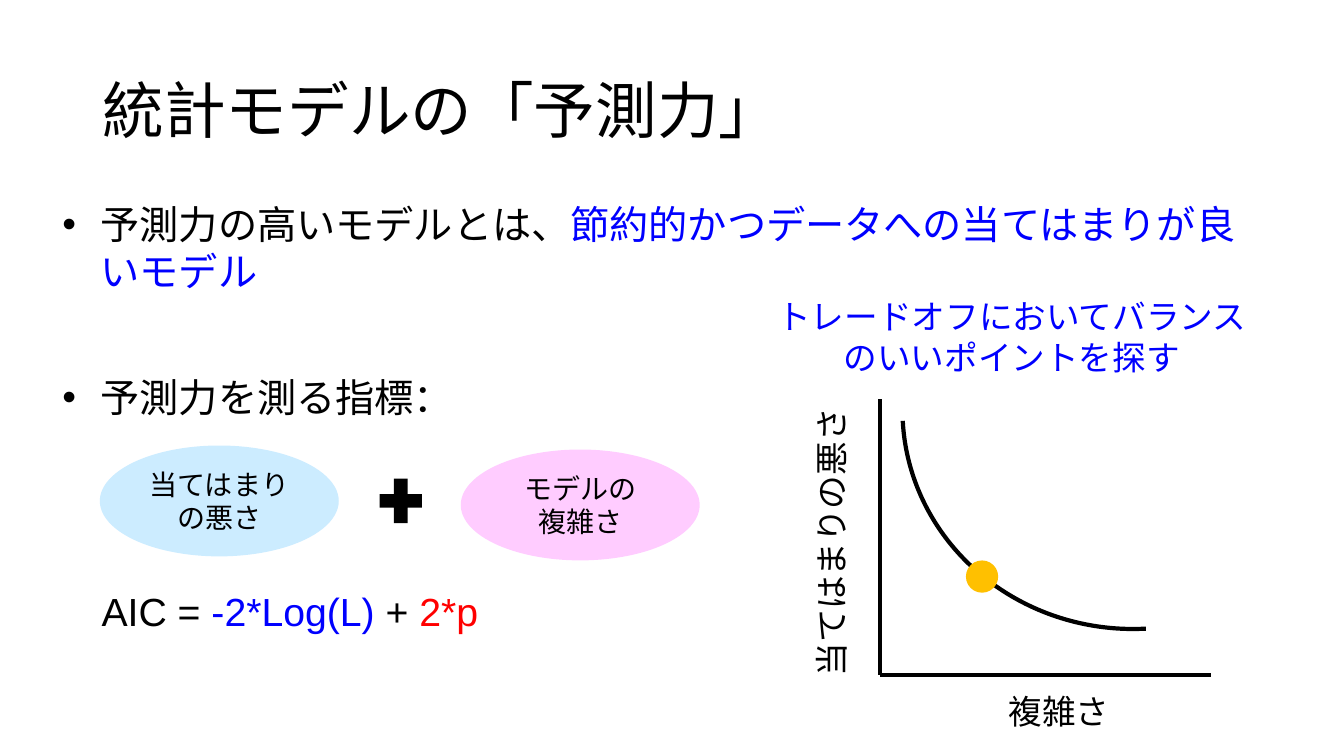
import pptx
import pptx.util
import pptx.dml.color
import pptx.enum.shapes
import pptx.enum.text
import pptx.oxml
import pptx.oxml.ns

Inches, Pt = pptx.util.Inches, pptx.util.Pt
RGB = pptx.dml.color.RGBColor
SHAPE = pptx.enum.shapes.MSO_SHAPE
ALIGN = pptx.enum.text.PP_ALIGN
ANCHOR = pptx.enum.text.MSO_ANCHOR

BLACK = RGB(0x00, 0x00, 0x00)
BLUE = RGB(0x00, 0x00, 0xFF)
RED = RGB(0xFF, 0x00, 0x00)
SKY = RGB(0xCC, 0xEC, 0xFF)
PINK = RGB(0xFF, 0xCC, 0xFF)
GOLD = RGB(0xFF, 0xC0, 0x00)

# Content: each paragraph is a list of (text, colour) runs
TITLE = [[("統計モデルの「予測力」", BLACK)]]
POINTS = [
    [("予測力の高いモデルとは、", BLACK),
     ("節約的かつデータへの当てはまりが良いモデル", BLUE)],
    [("予測力を測る指標：", BLACK)],
]
AIC = [[("AIC = ", BLACK), ("-2*Log(L) ", BLUE), ("+ ", BLACK), ("2*p", RED)]]
MISFIT = [[("当てはまりの悪さ", BLACK)]]
MODEL = [[("モデルの", BLACK)], [("複雑さ", BLACK)]]
COST = [[("複雑さ", BLACK)]]
BALANCE = [[("トレードオフにおいてバランスのいいポイントを探す", BLUE)]]

# Formats of paragraphs and frames
CENTER = {"alignment": ALIGN.CENTER}
AFTER = {"space_after": Pt(12)}
MIDDLE = {"word_wrap": True, "vertical_anchor": ANCHOR.MIDDLE}
WRAP = {"word_wrap": True}
LOOSE = {"word_wrap": False}

# Text boxes: place, paragraphs, size, paragraph format, frame format, turn
BOXES = [
    ((0.92, 0.4, 11.5, 1.45), TITLE, 44, {"line_spacing": 0.9}, MIDDLE, 0),
    ((0.91, 5.78, 5.64, 0.57), AIC, 28, AFTER, WRAP, 0),
    ((6.8, 5.13, 2.89, 0.5), MISFIT, 24, CENTER, LOOSE, 270),
    ((9.9, 6.81, 1.21, 0.5), COST, 24, CENTER, LOOSE, 0),
    ((7.45, 2.89, 5.17, 0.93), BALANCE, 24, CENTER, WRAP, 0),
]
# Shapes: preset, place, fill, paragraphs
FORMS = [
    (SHAPE.OVAL, (0.99, 4.42, 2.37, 1.1), SKY, MISFIT),
    (SHAPE.MATH_PLUS, (3.69, 4.67, 0.57, 0.6), BLACK, []),
    (SHAPE.OVAL, (4.57, 4.46, 2.37, 1.1), PINK, MODEL),
]
ORIGIN, TOP, RIGHT = (8.73, 6.7), (8.73, 3.96), (12.01, 6.7)


def style(part, look):
    for name, value in look.items():
        setattr(part, name, value)


def write(frame, paras, size, look, setup):
    style(frame, setup)
    for i, runs in enumerate(paras):
        para = frame.add_paragraph() if i else frame.paragraphs[0]
        style(para, look)
        for text, color in runs:
            run = para.add_run()
            run.text = text
            style(run.font, {"name": "Arial", "size": Pt(size)})
            run.font.color.rgb = color


def add_box(slide, place, paras, size, look, setup, turn=0):
    box = slide.shapes.add_textbox(*map(Inches, place))
    box.rotation = turn
    write(box.text_frame, paras, size, look, setup)
    return box


def add_form(slide, kind, place, fill=None):
    form = slide.shapes.add_shape(kind, *map(Inches, place))
    form.shadow.inherit = False
    if fill is None:
        form.fill.background()
        form.line.color.rgb = BLACK
        form.line.width = Pt(3)
    else:
        form.fill.solid()
        form.fill.fore_color.rgb = fill
        form.line.fill.background()
    return form


def add_bullet(para):
    props = para._p.get_or_add_pPr()
    props.set("marL", str(Inches(0.38)))
    props.set("indent", str(Inches(-0.38)))
    for tag, name, value in (("a:buFont", "typeface", "Arial"),
                             ("a:buChar", "char", "•")):
        item = pptx.oxml.ns.qn(tag)
        props.append(props.makeelement(item, {name: value}))


def add_axis(slide, start, end):
    ends = map(Inches, start + end)
    axis = slide.shapes.add_connector(
        pptx.enum.shapes.MSO_CONNECTOR.STRAIGHT, *ends)
    axis.line.color.rgb = BLACK
    axis.line.width = Pt(3)
    props = axis._element.spPr
    props.append(props.makeelement(pptx.oxml.ns.qn("a:effectLst"), {}))


def main():
    deck = pptx.Presentation()
    style(deck, {"slide_width": Inches(13.33), "slide_height": Inches(7.5)})
    slide = deck.slides.add_slide(deck.slide_layouts[6])

    # Title, formula, axis labels and remark
    for box in BOXES:
        add_box(slide, *box)

    # Bullet points, set well apart
    body = add_box(slide, (0.52, 1.94, 12.1, 2.32), POINTS, 28, AFTER, WRAP)
    paras = body.text_frame.paragraphs
    for para in paras:
        add_bullet(para)
    paras[1].space_before = Pt(44)

    # Sum of misfit and complexity
    for kind, place, fill, text in FORMS:
        form = add_form(slide, kind, place, fill)
        write(form.text_frame, text, 20, CENTER, MIDDLE)

    # Trade-off curve with its balance point
    add_axis(slide, TOP, ORIGIN)
    add_axis(slide, RIGHT, ORIGIN)
    curve = add_form(slide, SHAPE.ARC, (8.95, 1.87, 4.6, 4.37))
    curve.rotation = 177
    add_form(slide, SHAPE.OVAL, (9.58, 5.56, 0.32, 0.32), GOLD)

    deck.save("out.pptx")


if __name__ == "__main__":
    main()
